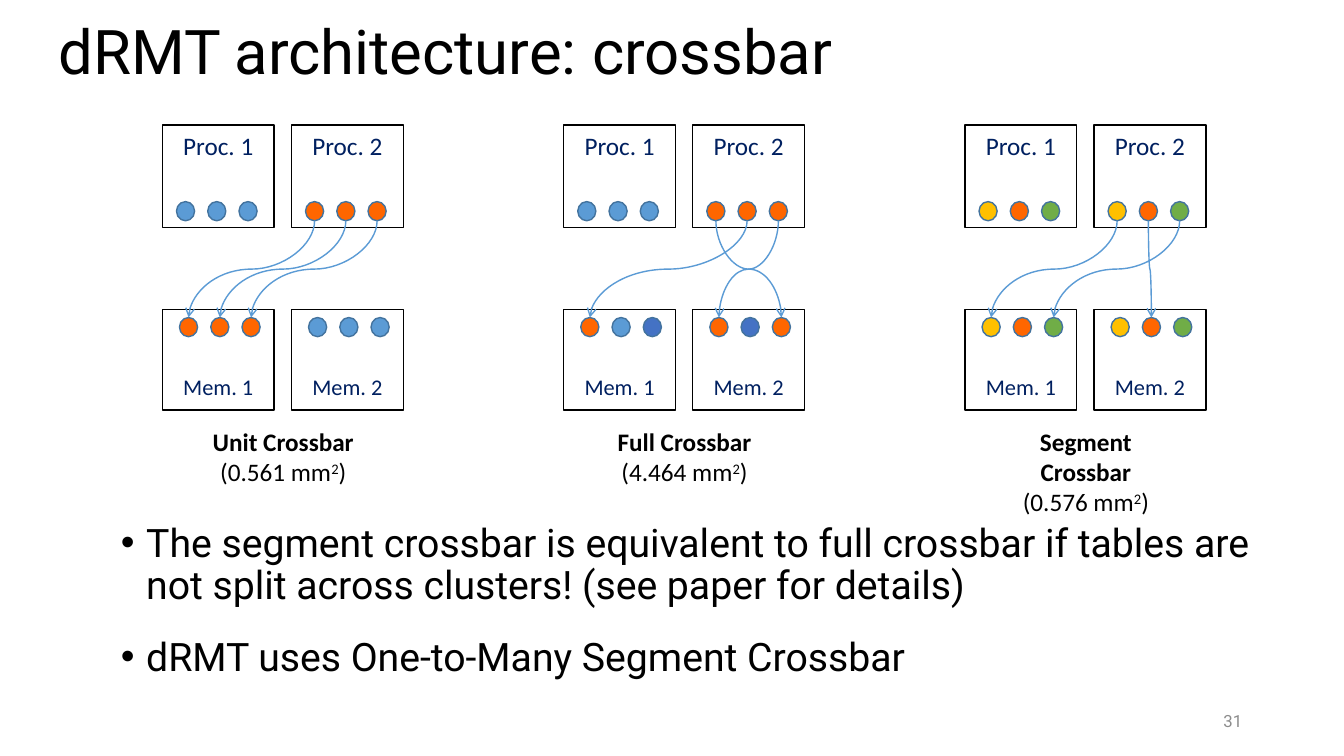
from lxml import etree
from pptx import Presentation
from pptx.dml.color import RGBColor
from pptx.enum.shapes import MSO_CONNECTOR, MSO_SHAPE
from pptx.enum.text import MSO_ANCHOR, MSO_AUTO_SIZE, PP_ALIGN
from pptx.oxml.ns import qn
from pptx.util import Inches, Pt

CURVE = MSO_CONNECTOR.CURVE
RECTANGLE, OVAL = MSO_SHAPE.RECTANGLE, MSO_SHAPE.OVAL
TOP, MIDDLE, BOTTOM = MSO_ANCHOR.TOP, MSO_ANCHOR.MIDDLE, MSO_ANCHOR.BOTTOM
LEFT, CENTER, RIGHT = PP_ALIGN.LEFT, PP_ALIGN.CENTER, PP_ALIGN.RIGHT
NO_AUTOFIT = MSO_AUTO_SIZE.NONE

BLACK = RGBColor(0x00, 0x00, 0x00)
GRAY = RGBColor(0x8C, 0x8C, 0x8C)
NAVY = RGBColor(0x00, 0x20, 0x60)
BLUE = RGBColor(0x5B, 0x9B, 0xD5)
ROYAL = RGBColor(0x44, 0x72, 0xC4)
ORANGE = RGBColor(0xFF, 0x66, 0x00)
YELLOW = RGBColor(0xFF, 0xC0, 0x00)
GREEN = RGBColor(0x70, 0xAD, 0x47)
PORT_EDGE = RGBColor(0x43, 0x73, 0x9E)

DIAGRAM_LEFT, DIAGRAM_STEP = 1.61, 3.98
BOX_STEP, BOX_WIDTH = 1.28, 1.11
PROCESSOR_TOP, PROCESSOR_HEIGHT = 1.24, 1.02
MEMORY_TOP, MEMORY_HEIGHT = 3.07, 1.0
PORT_STEP, PORT_WIDTH, PORT_HEIGHT = 0.31, 0.18, 0.19
PROCESSOR_PORT_LEFT, PROCESSOR_PORT_TOP = 0.14, 2.0
MEMORY_PORT_LEFT, MEMORY_PORT_TOP = 0.17, 3.15

SEGMENTS = (YELLOW, ORANGE, GREEN)
DIAGRAMS = [
    ("Unit Crossbar", "0.561",
     [(BLUE,) * 3, (ORANGE,) * 3],
     [(ORANGE,) * 3, (BLUE,) * 3],
     [(0, 0, 0), (1, 0, 1), (2, 0, 2)]),
    ("Full Crossbar", "4.464",
     [(BLUE,) * 3, (ORANGE,) * 3],
     [(ORANGE, BLUE, ROYAL), (ORANGE, ROYAL, ORANGE)],
     [(0, 1, 2), (1, 0, 0), (2, 1, 0)]),
    ("Segment Crossbar", "0.576",
     [SEGMENTS, SEGMENTS],
     [SEGMENTS, SEGMENTS],
     [(0, 0, 0), (1, 1, 1), (2, 0, 2)]),
]
BULLETS = [
    "The segment crossbar is equivalent to full crossbar if tables are not "
    "split across clusters! (see paper for details)",
    "dRMT uses One-to-Many Segment Crossbar",
]


def place(shape, left, top, width, height):
    shape.left, shape.top = Inches(left), Inches(top)
    shape.width, shape.height = Inches(width), Inches(height)


def style_runs(paragraph, name, size, color, bold=False):
    for run in paragraph.runs:
        run.font.name = name
        run.font.size = Pt(size)
        run.font.bold = bold
        run.font.color.rgb = color


def add_outlined(shapes, kind, left, top, width, height, fill, edge):
    shape = shapes.add_shape(kind, Inches(left), Inches(top),
                             Inches(width), Inches(height))
    shape.shadow.inherit = False
    if fill is None:
        shape.fill.background()
    else:
        shape.fill.solid()
        shape.fill.fore_color.rgb = fill
    shape.line.color.rgb = edge
    shape.line.width = Pt(1)
    return shape


def add_box(shapes, left, top, height, label, size, anchor):
    box = add_outlined(shapes, RECTANGLE, left, top, BOX_WIDTH, height, None, BLACK)
    frame = box.text_frame
    frame.text = label
    frame.vertical_anchor = anchor
    frame.margin_left = frame.margin_right = 0
    frame.margin_bottom = Inches(0.1)
    frame.paragraphs[0].alignment = CENTER
    style_runs(frame.paragraphs[0], "Calibri", size, NAVY)


def add_ports(shapes, left, top, colors):
    for index, color in enumerate(colors):
        add_outlined(shapes, OVAL, left + index * PORT_STEP, top,
                     PORT_WIDTH, PORT_HEIGHT, color, PORT_EDGE)


def add_wire(shapes, start_x, start_y, end_x, end_y):
    center_x, center_y = (start_x + end_x) / 2, (start_y + end_y) / 2
    half_width, half_height = (end_y - start_y) / 2, abs(end_x - start_x) / 2
    wire = shapes.add_connector(
        CURVE, Inches(center_x - half_width), Inches(center_y - half_height),
        Inches(center_x + half_width), Inches(center_y + half_height))
    wire.line.color.rgb = BLUE
    wire.line.width = Pt(1)
    properties = wire._element.spPr
    transform = properties.find(qn("a:xfrm"))
    goes_right = end_x > start_x
    transform.set("rot", str((270 if goes_right else 90) * 60000))
    if goes_right:
        transform.set("flipH", "1")
    arrow = etree.SubElement(properties.find(qn("a:ln")), qn("a:tailEnd"))
    arrow.set("type", "arrow")
    etree.SubElement(properties, qn("a:effectLst"))


def add_caption(shapes, left, name, area):
    caption = shapes.add_textbox(Inches(left), Inches(4.18), Inches(2.06), Inches(0.71))
    frame = caption.text_frame
    frame.word_wrap = True
    frame.margin_left = frame.margin_right = Inches(0.15)
    heading = frame.paragraphs[0]
    heading.text = name
    measure = frame.add_paragraph()
    for text in (f"({area} mm", "2", ")"):
        measure.add_run().text = text
    heading.alignment = measure.alignment = CENTER
    style_runs(heading, "Calibri", 18, BLACK, bold=True)
    style_runs(measure, "Calibri", 18, BLACK)
    measure.runs[1].font._element.set("baseline", "30000")


def add_diagram(slide, left, name, area, processors, memories, wires):
    shapes = slide.shapes.add_group_shape().shapes
    for index, (processor, memory) in enumerate(zip(processors, memories)):
        box_left = left + index * BOX_STEP
        add_box(shapes, box_left, PROCESSOR_TOP, PROCESSOR_HEIGHT,
                f"Proc. {index + 1}", 18, TOP)
        add_box(shapes, box_left, MEMORY_TOP, MEMORY_HEIGHT,
                f"Mem. {index + 1}", 16, BOTTOM)
        add_ports(shapes, box_left + PROCESSOR_PORT_LEFT, PROCESSOR_PORT_TOP, processor)
        add_ports(shapes, box_left + MEMORY_PORT_LEFT, MEMORY_PORT_TOP, memory)
    start_left = left + BOX_STEP + PROCESSOR_PORT_LEFT + PORT_WIDTH / 2
    end_left = left + MEMORY_PORT_LEFT + PORT_WIDTH / 2
    for source, memory_index, target in wires:
        add_wire(shapes, start_left + source * PORT_STEP,
                 PROCESSOR_PORT_TOP + PORT_HEIGHT,
                 end_left + memory_index * BOX_STEP + target * PORT_STEP,
                 MEMORY_PORT_TOP)
    add_caption(shapes, left + 0.17, name, area)


def fill_title(slide, text):
    title = slide.shapes.title
    place(title, 0.48, 0.01, 11.5, 1.06)
    frame = title.text_frame
    frame.text = text
    frame.vertical_anchor = MIDDLE
    frame.auto_size = NO_AUTOFIT
    frame.paragraphs[0].alignment = LEFT
    frame.paragraphs[0].line_spacing = 0.9
    style_runs(frame.paragraphs[0], "Roboto", 44, BLACK)


def fill_bullets(slide, texts):
    body = slide.placeholders[1]
    place(body, 1.1, 5.14, 11.85, 2.3)
    frame = body.text_frame
    frame.text = "\n".join(texts)
    frame.auto_size = NO_AUTOFIT
    for index, paragraph in enumerate(frame.paragraphs):
        paragraph.line_spacing = 0.9
        paragraph.space_before = Pt(21 if index else 0)
        properties = paragraph._p.get_or_add_pPr()
        properties.set("marL", str(Inches(0.25)))
        properties.set("indent", str(Inches(-0.25)))
        etree.SubElement(properties, qn("a:buFont")).set("typeface", "Arial")
        etree.SubElement(properties, qn("a:buChar")).set("char", "•")
        style_runs(paragraph, "Roboto", 28, BLACK)


def add_page_number(slide, number):
    box = slide.shapes.add_textbox(Inches(9.42), Inches(6.95), Inches(3), Inches(0.4))
    frame = box.text_frame
    frame.word_wrap = True
    frame.text = number
    frame.vertical_anchor = MIDDLE
    frame.paragraphs[0].alignment = RIGHT
    style_runs(frame.paragraphs[0], "Roboto", 12, GRAY)


def main():
    presentation = Presentation()
    presentation.slide_width, presentation.slide_height = Inches(13.33), Inches(7.5)
    slide = presentation.slides.add_slide(presentation.slide_layouts[1])
    fill_title(slide, "dRMT architecture: crossbar")
    fill_bullets(slide, BULLETS)
    for index, diagram in enumerate(DIAGRAMS):
        add_diagram(slide, DIAGRAM_LEFT + index * DIAGRAM_STEP, *diagram)
    add_page_number(slide, "31")
    presentation.save("out.pptx")


if __name__ == "__main__":
    main()
